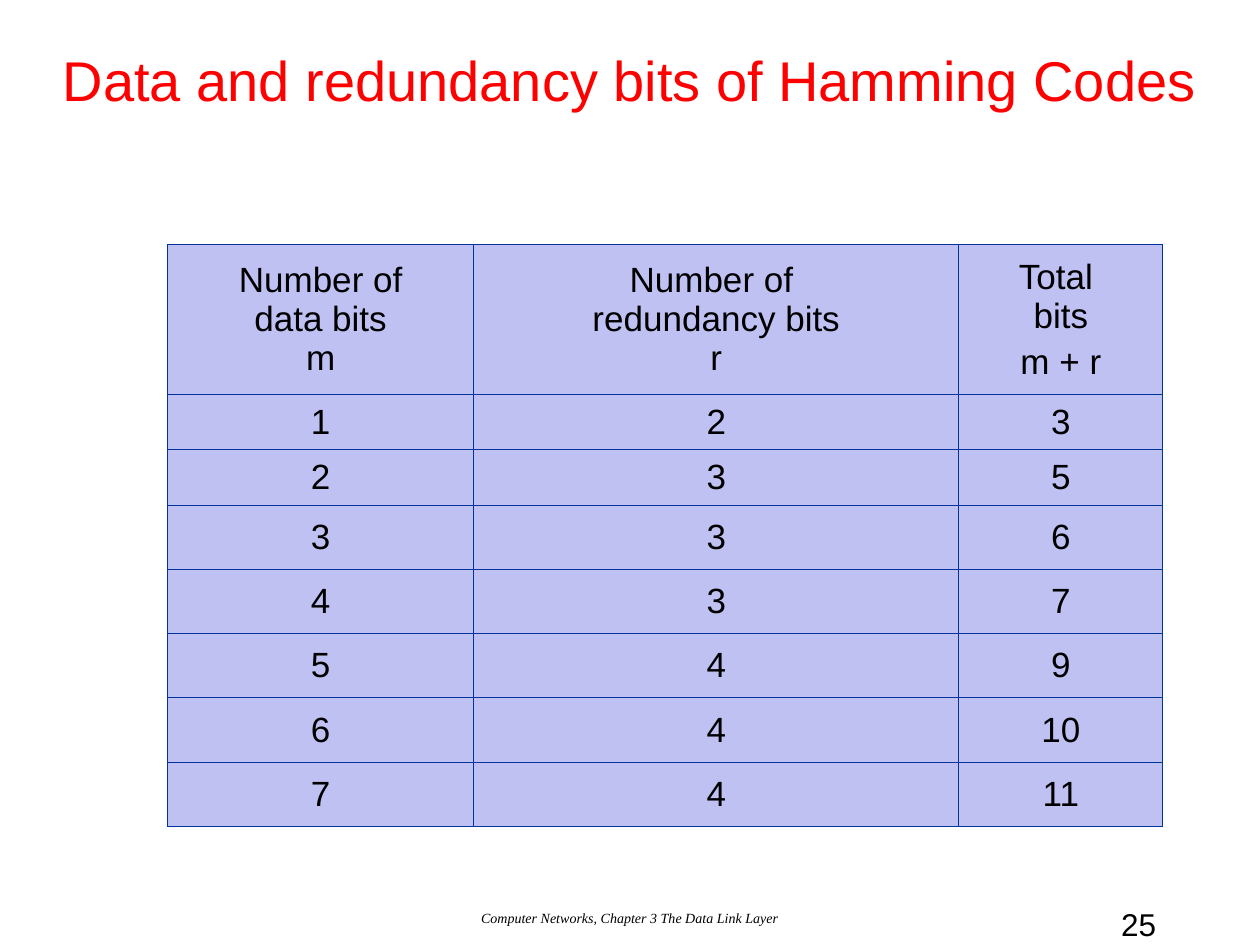
from dataclasses import dataclass

from lxml import etree
from pptx import Presentation
from pptx.dml.color import RGBColor
from pptx.enum.text import MSO_ANCHOR, PP_ALIGN
from pptx.oxml.ns import qn
from pptx.util import Inches, Pt

CENTER = PP_ALIGN.CENTER
LEFT = PP_ALIGN.LEFT
MIDDLE = MSO_ANCHOR.MIDDLE
TITLE_ONLY = 5


@dataclass(frozen=True)
class Theme:
    sans: str = "Arial"
    serif: str = "Times New Roman"
    title_color: str = "FF0000"
    text_color: str = "000000"
    cell_fill: str = "C0C1F3"
    border_color: str = "00339B"
    border_width: float = 0.75
    title_size: int = 32
    table_size: int = 20
    number_size: int = 18
    footer_size: int = 8
    para_gap: int = 4


THEME = Theme()

COLUMN_WIDTHS = [2.43, 3.85, 1.62]
ROW_HEIGHTS = [1.19] + [0.44] * 2 + [0.51] * 5
# Each heading is a list of paragraphs
HEADINGS = [
    ["Number of\ndata bits\nm"],
    ["Number of \nredundancy bits\nr"],
    ["Total \nbits", "m + r"],
]
REDUNDANCY_BITS = {1: 2, 2: 3, 3: 3, 4: 3, 5: 4, 6: 4, 7: 4}


def write(frame, lines, size, font=THEME.sans, color=THEME.text_color,
          align=CENTER, italic=False):
    """Fill a text frame with evenly formatted paragraphs."""
    for index, line in enumerate(lines):
        para = frame.add_paragraph() if index else frame.paragraphs[0]
        para.text = line
        para.alignment = align
        if index:
            para.space_before = Pt(THEME.para_gap)
        para.font.name = font
        para.font.size = Pt(size)
        para.font.italic = italic
        para.font.color.rgb = RGBColor.from_string(color)


def place(shape, left, top, width, height):
    shape.left, shape.top = Inches(left), Inches(top)
    shape.width, shape.height = Inches(width), Inches(height)


def add_title(page, text):
    title = page.shapes.title
    place(title, 0, 0, 10, 1.25)
    title.text_frame.vertical_anchor = MIDDLE
    write(title.text_frame, [text], THEME.title_size, color=THEME.title_color)


def add_text(page, text, bounds, size, **style):
    box = page.shapes.add_textbox(*map(Inches, bounds))
    box.text_frame.word_wrap = True
    write(box.text_frame, [text], size, **style)


def add_borders(cell):
    """Draw the same line on all four sides of a cell."""
    properties = cell._tc.get_or_add_tcPr()
    for side in ("a:lnL", "a:lnR", "a:lnT", "a:lnB"):
        line = etree.SubElement(properties, qn(side),
                                w=str(Pt(THEME.border_width)))
        fill = etree.SubElement(line, qn("a:solidFill"))
        etree.SubElement(fill, qn("a:srgbClr"), val=THEME.border_color)


def add_bits_table(page, left, top):
    rows = [HEADINGS] + [
        [[str(value)] for value in (data, extra, data + extra)]
        for data, extra in REDUNDANCY_BITS.items()
    ]
    table = page.shapes.add_table(
        len(rows), len(COLUMN_WIDTHS), Inches(left), Inches(top),
        Inches(sum(COLUMN_WIDTHS)), Inches(sum(ROW_HEIGHTS))).table
    table.first_row = table.horz_banding = False
    for column, width in zip(table.columns, COLUMN_WIDTHS):
        column.width = Inches(width)
    for row, height, contents in zip(table.rows, ROW_HEIGHTS, rows):
        row.height = Inches(height)
        for cell, lines in zip(row.cells, contents):
            add_borders(cell)
            cell.fill.solid()
            cell.fill.fore_color.rgb = RGBColor.from_string(THEME.cell_fill)
            cell.vertical_anchor = MIDDLE
            write(cell.text_frame, lines, THEME.table_size)


def main():
    deck = Presentation()
    deck.slide_width, deck.slide_height = Inches(10), Inches(7.5)
    page = deck.slides.add_slide(deck.slide_layouts[TITLE_ONLY])

    # Page number, title and footer
    add_text(page, "25", (8.8, 7.13, 0.55, 0.4), THEME.number_size, align=LEFT)
    add_title(page, "Data and redundancy bits of Hamming Codes")
    add_text(page, "Computer Networks, Chapter 3 The Data Link Layer",
             (0, 7.17, 10, 0.33), THEME.footer_size,
             font=THEME.serif, italic=True)

    # Bit counts
    add_bits_table(page, 1.33, 1.94)
    deck.save("out.pptx")


if __name__ == "__main__":
    main()
